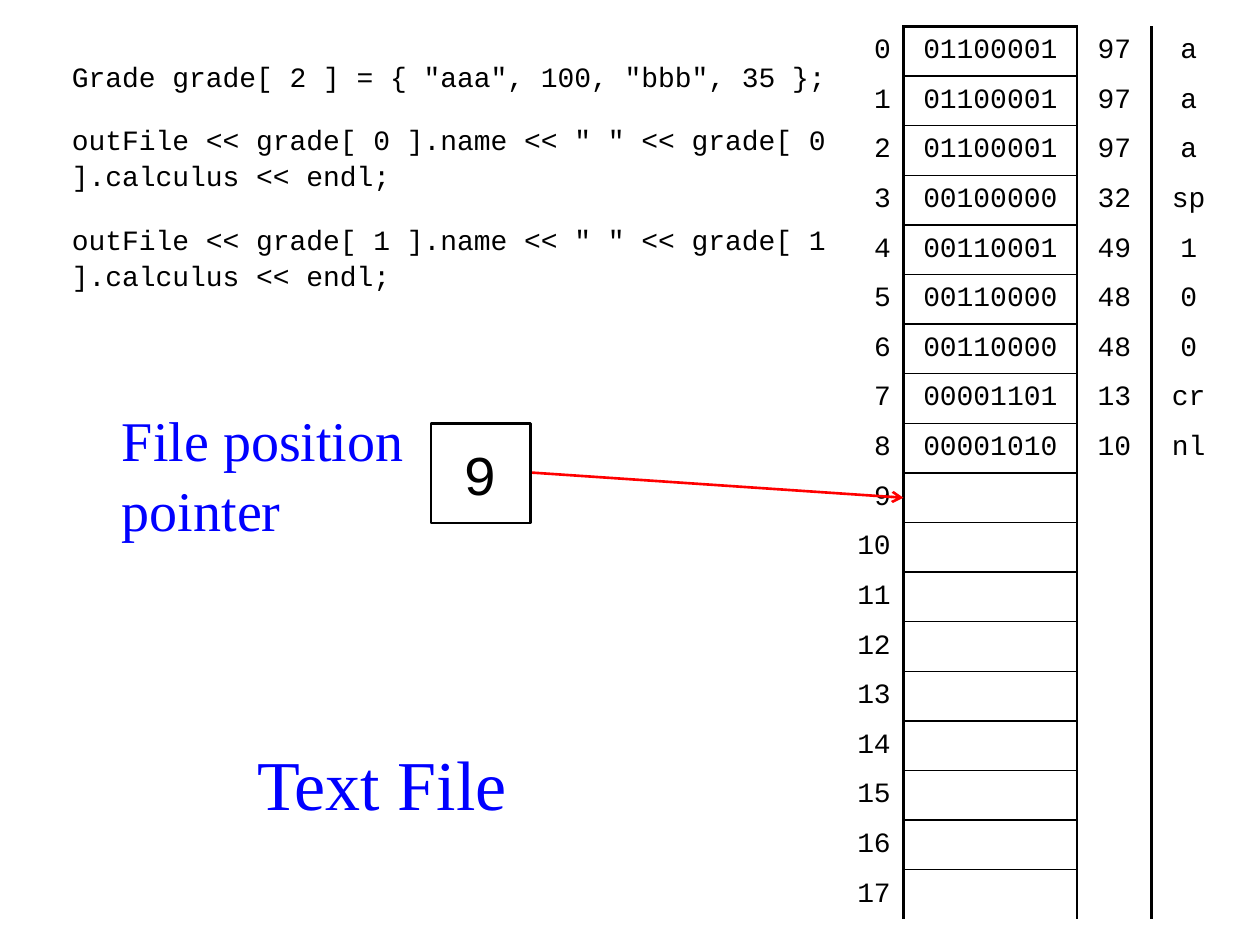
from lxml import etree
from pptx import Presentation
from pptx.dml.color import RGBColor
from pptx.enum.shapes import MSO_CONNECTOR as Line, MSO_SHAPE as Shape
from pptx.enum.text import MSO_ANCHOR as Anchor, MSO_AUTO_SIZE as Auto, PP_ALIGN as Align
from pptx.oxml.ns import qn
from pptx.util import Inches, Pt

BLACK = RGBColor(0, 0, 0)
BLUE = RGBColor(0, 0, 255)
RED = RGBColor(255, 0, 0)
MONO = {"name": "Courier New", "size": Pt(16)}
BIG = {"name": "Courier New", "size": Pt(32)}
LABEL = {"name": "Times New Roman", "size": Pt(32)}
TITLE = {"name": "Times New Roman", "size": Pt(40)}


def write(frame, lines, font, color, form):
    frame.text = "\n".join(lines)
    for para in frame.paragraphs:
        for key, val in form.items():
            setattr(para, key, val)
        for run in para.runs:
            for key, val in font.items():
                setattr(run.font, key, val)
            run.font.color.rgb = color


def place(shape, left, top, width, height):
    spots = {"left": left, "top": top, "width": width, "height": height}
    for key, val in spots.items():
        setattr(shape, key, Inches(val))


deck = Presentation()
deck.slide_width, deck.slide_height = Inches(10), Inches(7.5)
slide = deck.slides.add_slide(deck.slide_layouts[1])
shapes = slide.shapes

title = shapes.title
place(title, 1.85, 5.72, 2.36, 0.98)
title.text_frame.vertical_anchor = Anchor.MIDDLE
write(title.text_frame, ["Text File"], TITLE, BLUE, {"alignment": Align.CENTER})

body = slide.placeholders[1]
place(body, 0.47, 0.4, 6.3, 1.97)
body.text_frame.auto_size = Auto.NONE
code = ['Grade grade[ 2 ] = { "aaa", 100, "bbb", 35 };']
for num in range(2):
    code.append(f'outFile << grade[ {num} ].name << " " << grade[ {num} ].calculus << endl;')
write(body.text_frame, code, MONO, BLACK, {"space_before": Pt(16), "line_spacing": 1.07})
for para in body.text_frame.paragraphs:
    props = para._p.get_or_add_pPr()
    props.set("marL", "0")
    props.set("indent", "0")
    etree.SubElement(props, qn("a:buNone"))

COUNT = 18
BYTES = [(97, "a")] * 3 + [(32, "sp"), (49, "1"), (48, "0"), (48, "0"), (13, "cr"), (10, "nl")]
grid = shapes.add_table(COUNT, 4, Inches(6.58), Inches(0.21), Inches(3.15), Inches(7.09)).table
grid.first_row = grid.horz_banding = False
grid._tbl.tblPr[0].text = "{2D5ABB26-0587-4C30-8999-92F81FD0307C}"
for col, width in zip(grid.columns, [0.59, 1.38, 0.59, 0.59]):
    col.width = Inches(width)

for num, row in enumerate(grid.rows):
    row.height = Inches(7.09 / COUNT)
    texts = [str(num), "", "", ""]
    if num < len(BYTES):
        value, char = BYTES[num]
        texts[1:] = [f"{value:08b}", str(value), char]
    box = {"lnL": 1.5, "lnR": 1.5, "lnT": 1 if num else 1.5}
    if num < COUNT - 1:
        box["lnB"] = 1
    edges = [{"lnR": 1.5}, box, {"lnL": 1.5}, {}]
    for col, (cell, text) in enumerate(zip(row.cells, texts)):
        side = Inches(0.08 if col == 1 else 0.1)
        pad = Inches(0.05 if text else 0)
        form = {"vertical_anchor": Anchor.MIDDLE, "margin_left": side, "margin_right": side,
                "margin_top": pad, "margin_bottom": pad}
        for key, val in form.items():
            setattr(cell, key, val)
        if text:
            write(cell.text_frame, [text], MONO, BLACK,
                  {"alignment": Align.CENTER if col else Align.RIGHT})
        for tag, width in edges[col].items():
            edge = etree.SubElement(cell._tc.get_or_add_tcPr(), qn("a:" + tag), w=str(Pt(width)))
            paint = etree.SubElement(edge, qn("a:solidFill"))
            etree.SubElement(paint, qn("a:srgbClr"), val=str(BLACK))
        cell.fill.background()

arrow = shapes.add_connector(Line.STRAIGHT, Inches(4.21), Inches(3.75), Inches(7.17), Inches(3.95))
arrow.line.color.rgb = RED
arrow.line.width = Pt(1.5)
etree.SubElement(arrow.line._get_or_add_ln(), qn("a:tailEnd"), type="arrow")
etree.SubElement(arrow._element.spPr, qn("a:effectLst"))

box = shapes.add_shape(Shape.RECTANGLE, Inches(3.42), Inches(3.36), Inches(0.79), Inches(0.79))
box.shadow.inherit = False
box.fill.background()
box.line.color.rgb = BLACK
box.line.width = Pt(1.5)
label = shapes.add_textbox(Inches(0.87), Inches(3.16), Inches(2.56), Inches(1.18))
for item in (box, label):
    item.text_frame.vertical_anchor = Anchor.MIDDLE
    item.text_frame.word_wrap = False
write(box.text_frame, ["9"], BIG, BLACK, {"alignment": Align.CENTER})
write(label.text_frame, ["File position", "pointer"], LABEL, BLUE,
      {"alignment": Align.LEFT, "line_spacing": 1.04})

deck.save("out.pptx")
